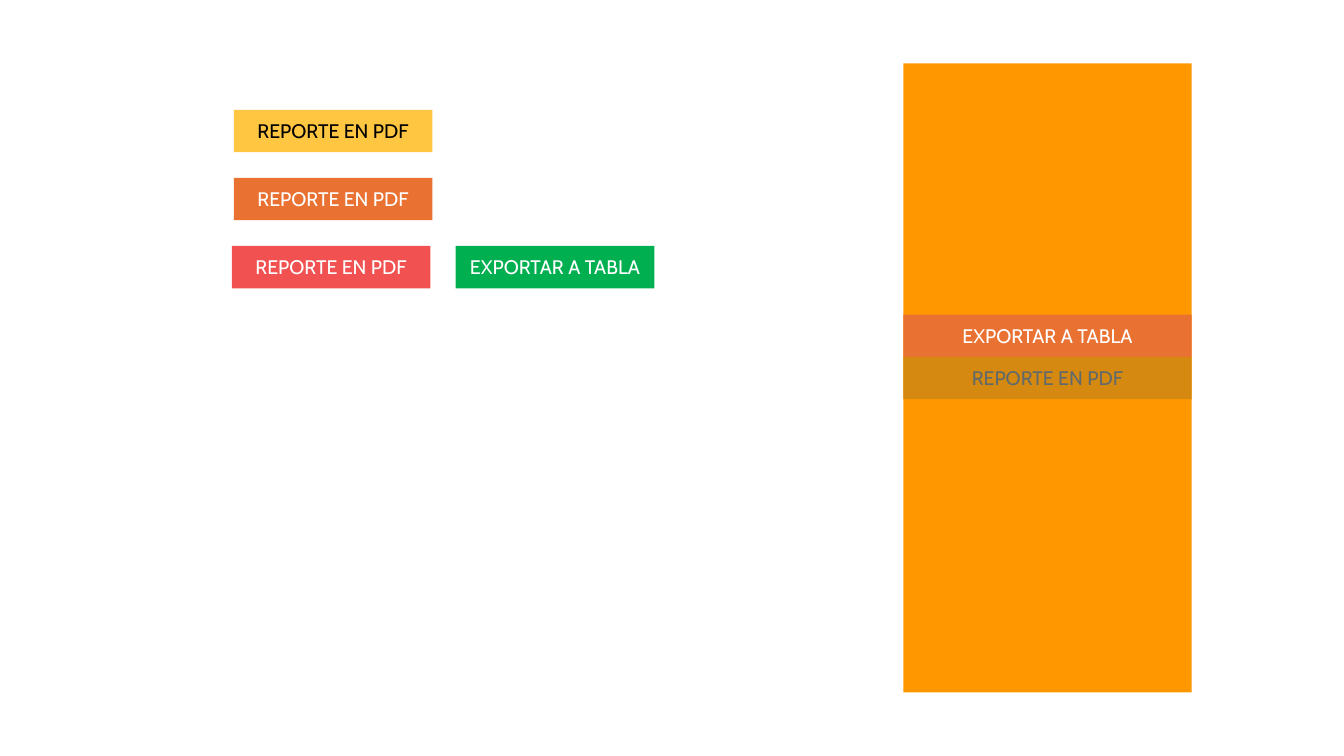
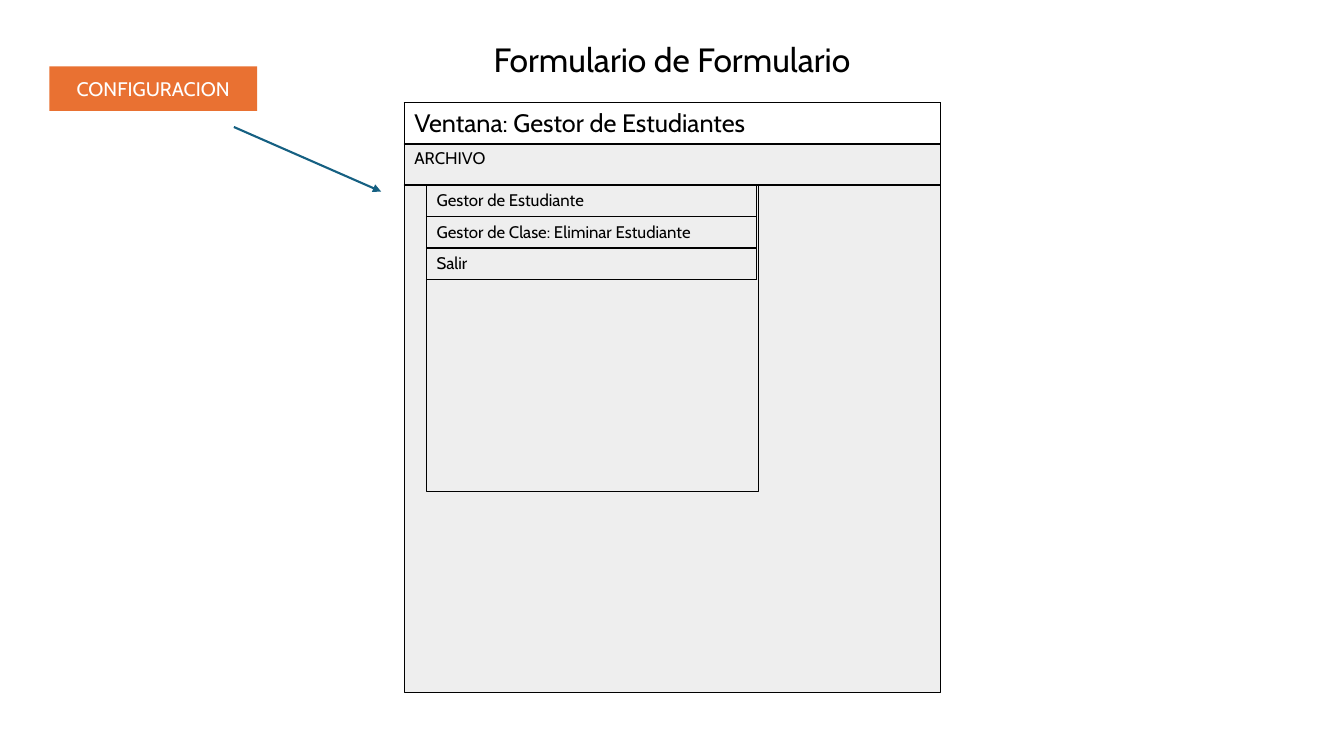
from lxml import etree
from pptx import Presentation
from pptx.dml.color import RGBColor
from pptx.enum.shapes import MSO_CONNECTOR, MSO_SHAPE
from pptx.enum.text import MSO_ANCHOR, MSO_AUTO_SIZE, PP_ALIGN
from pptx.oxml.ns import qn
from pptx.util import Inches, Pt

RECTANGLE = MSO_SHAPE.RECTANGLE
STRAIGHT = MSO_CONNECTOR.STRAIGHT
MIDDLE = MSO_ANCHOR.MIDDLE
CENTER = PP_ALIGN.CENTER
GROW = MSO_AUTO_SIZE.SHAPE_TO_FIT_TEXT

FONT = "Cabin"
BLACK, WHITE, PANEL_GRAY = "000000", "FFFFFF", "EEEEEE"
ORANGE, AMBER, YELLOW, OCHRE = "E97132", "FF9800", "FFC642", "D68910"
RED, GREEN, BLUE, SLATE = "F15151", "00B050", "156082", "616A6B"
REPORT, EXPORT = "REPORTE EN PDF", "EXPORTAR A TABLA"
BUTTON_HEIGHT = 0.42
BORDER_TAGS = ("a:lnL", "a:lnR", "a:lnT", "a:lnB")


def rgb(color):
    """Turn a hex string into a colour."""
    return RGBColor.from_string(color)


def write(paragraph, text, size, color=BLACK):
    """Fill a paragraph with text in the shared font."""
    paragraph.text = text
    paragraph.font.name = FONT
    paragraph.font.size = Pt(size)
    paragraph.font.color.rgb = rgb(color)


def add_box(slide, left, top, width, height, fill, line=None):
    """Add a flat rectangle with an optional thin outline."""
    shape = slide.shapes.add_shape(
        RECTANGLE, Inches(left), Inches(top), Inches(width), Inches(height))
    shape.shadow.inherit = False
    shape.fill.solid()
    shape.fill.fore_color.rgb = rgb(fill)
    if line:
        shape.line.color.rgb = rgb(line)
        shape.line.width = Pt(0.75)
    else:
        shape.line.fill.background()
    return shape


def add_button(slide, left, top, width, text, fill, color=WHITE, height=BUTTON_HEIGHT):
    """Add a filled button with a centred label."""
    button = add_box(slide, left, top, width, height, fill)
    button.text_frame.vertical_anchor = MIDDLE
    paragraph = button.text_frame.paragraphs[0]
    paragraph.alignment = CENTER
    write(paragraph, text, 14, color)


def outline_cell(cell):
    """Draw black borders round a cell and clear its fill."""
    properties = cell._tc.get_or_add_tcPr()
    for tag in BORDER_TAGS:
        border = etree.SubElement(properties, qn(tag), w=str(Pt(1)))
        solid = etree.SubElement(border, qn("a:solidFill"))
        etree.SubElement(solid, qn("a:srgbClr"), val=BLACK)
    cell.fill.background()


def add_list(slide, left, top, width, row_height, rows, size):
    """Add a one-column outlined table."""
    frame = slide.shapes.add_table(
        len(rows), 1, Inches(left), Inches(top),
        Inches(width), Inches(row_height * len(rows)))
    table = frame.table
    table.first_row = False
    table.horz_banding = False
    for index, text in enumerate(rows):
        table.rows[index].height = Inches(row_height)
        cell = table.cell(index, 0)
        outline_cell(cell)
        write(cell.text_frame.paragraphs[0], text, size)


def add_arrow(slide, start, end):
    """Add a blue arrow between two points."""
    points = [Inches(value) for value in (*start, *end)]
    arrow = slide.shapes.add_connector(STRAIGHT, *points)
    arrow.line.color.rgb = rgb(BLUE)
    arrow.line.width = Pt(1.5)
    line = arrow.line._get_or_add_ln()
    etree.SubElement(line, qn("a:tailEnd"), type="triangle")
    etree.SubElement(arrow._element.spPr, qn("a:effectLst"))


def add_title(slide, left, top, width, height, text):
    """Add a centred title that does not wrap."""
    box = slide.shapes.add_textbox(
        Inches(left), Inches(top), Inches(width), Inches(height))
    box.text_frame.word_wrap = False
    box.text_frame.auto_size = GROW
    paragraph = box.text_frame.paragraphs[0]
    paragraph.alignment = CENTER
    write(paragraph, text, 24)


def add_button_samples(slide, left, top):
    """Place the column of report buttons and the export button."""
    width, pitch = 1.97, 0.675
    add_button(slide, left, top, width, REPORT, YELLOW, BLACK)
    add_button(slide, left, top + pitch, width, REPORT, ORANGE)
    last_top = top + 2 * pitch
    add_button(slide, left - 0.02, last_top, width, REPORT, RED)
    add_button(slide, left + 2.2, last_top, width, EXPORT, GREEN)


def add_side_menu(slide, left, top, width, height):
    """Place the side panel and its two stacked menu entries."""
    add_box(slide, left, top, width, height, AMBER)
    entries = [(EXPORT, ORANGE, WHITE), (REPORT, OCHRE, SLATE)]
    for index, (text, fill, color) in enumerate(entries):
        entry_top = top + 2.49 + index * BUTTON_HEIGHT
        add_button(slide, left, entry_top, width, text, fill, color)


def add_window(slide, left, top, width, height):
    """Place the window mock-up with its menu bar and open menu."""
    bar = 0.41
    body_top = top + 0.4
    add_box(slide, left, body_top, width, height - 0.4, PANEL_GRAY, BLACK)
    add_list(slide, left, top, width, bar, ["Ventana: Gestor de Estudiantes", ""], 18)
    add_list(slide, left, body_top, width, bar, ["ARCHIVO"], 12)
    menu_left, menu_top = left + 0.22, top + 2 * bar
    add_box(slide, menu_left, menu_top, 3.29, 3.04, PANEL_GRAY, BLACK)
    entries = ["Gestor de Estudiante", "Gestor de Clase: Eliminar Estudiante", "Salir"]
    add_list(slide, menu_left, menu_top, 3.27, 0.31, entries, 12)


def build_buttons_slide(slide):
    """Build the slide of button colours."""
    add_side_menu(slide, 8.96, 0.63, 2.86, 6.24)
    add_button_samples(slide, 2.32, 1.09)


def build_form_slide(slide):
    """Build the slide of the form window."""
    add_button(slide, 0.49, 0.66, 2.06, "CONFIGURACION", ORANGE, height=0.44)
    add_window(slide, 4.01, 1.02, 5.32, 5.85)
    add_arrow(slide, (2.32, 1.26), (3.78, 1.9))
    add_title(slide, 4.72, 0.34, 3.89, 0.5, "Formulario de Formulario")


def main():
    """Build and save the presentation."""
    presentation = Presentation()
    presentation.slide_width = Inches(13.33)
    presentation.slide_height = Inches(7.5)
    blank = presentation.slide_layouts[6]
    for build in (build_buttons_slide, build_form_slide):
        build(presentation.slides.add_slide(blank))
    presentation.save("out.pptx")


if __name__ == "__main__":
    main()
